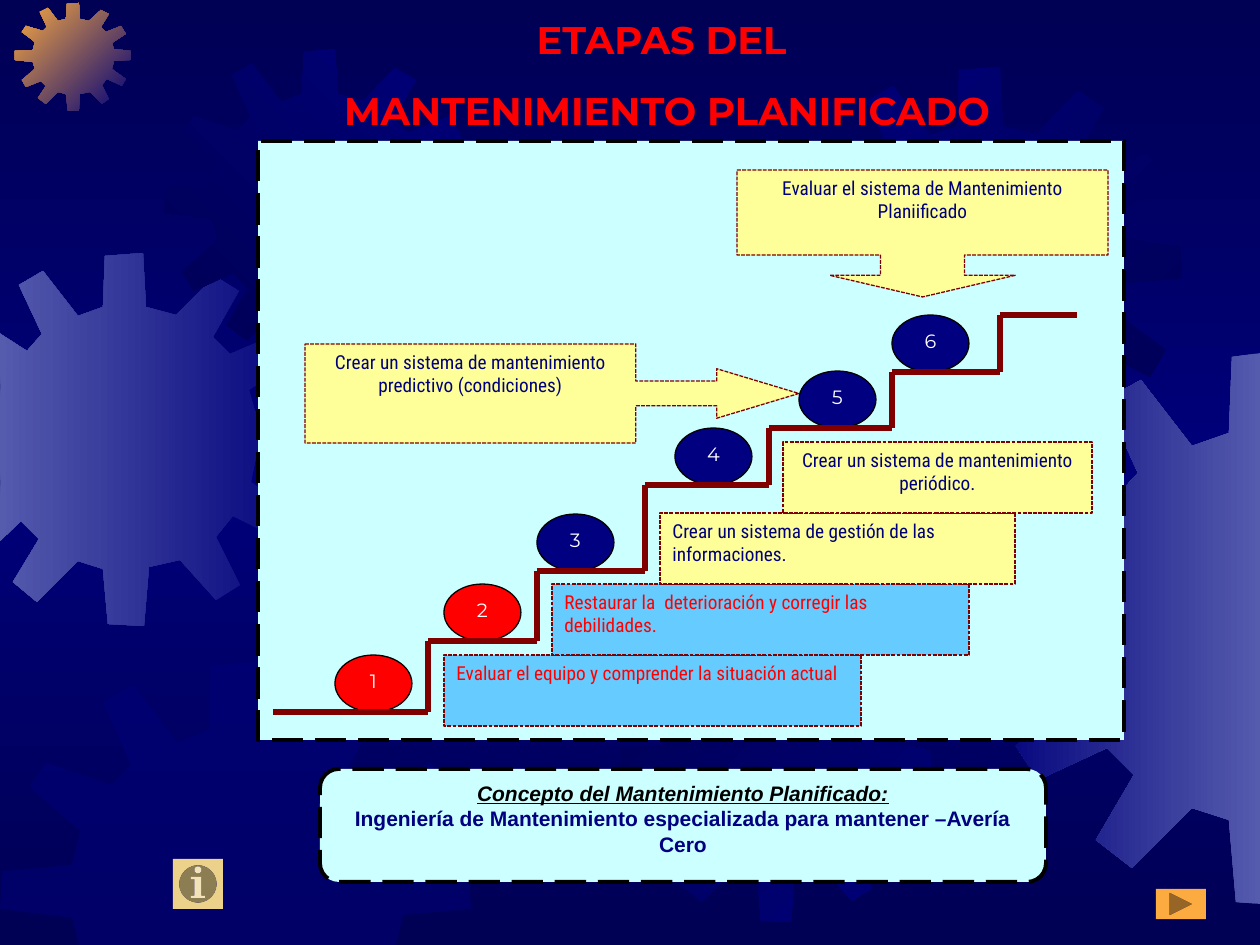
import copy
import pptx
import pptx.dml.color
import pptx.enum.dml
import pptx.enum.shapes
import pptx.enum.text
import pptx.oxml
import pptx.oxml.ns
import pptx.util

SCALE = 914400 / 126
KIND = pptx.enum.shapes.MSO_SHAPE
DASH = pptx.enum.dml.MSO_LINE
ALIGN = pptx.enum.text.PP_ALIGN
LEFT, MID = ALIGN.LEFT, ALIGN.CENTER
SANS, COND, ROUND = "Arial", "Roboto Condensed", "Montserrat"
HEX = {
    "night": "000054", "blue": "00007A", "haze": "555BAD", "gold": "FCAB40",
    "sand": "EBD189", "ice": "CCFFFF", "sky": "66CCFF", "cream": "FFFF99",
    "red": "FF0000", "wine": "800000", "navy": "000080",
    "black": "000000", "white": "FFFFFF",
}

WIDE, HIGH = 1260, 945
GEAR = [
    (158, 41), (138, 36), (136, 0), (111, 2), (110, 36), (93, 42),
    (70, 12), (54, 21), (69, 54), (59, 65), (24, 53), (16, 66),
    (42, 89), (38, 107), (1, 110), (0, 130), (38, 135), (42, 152),
    (14, 177), (24, 192), (55, 178), (67, 190), (50, 219), (66, 232),
    (93, 205), (110, 210), (113, 247), (137, 248), (140, 209), (161, 204),
    (185, 231), (201, 221), (185, 189), (196, 175), (228, 191), (238, 174),
    (208, 152), (212, 133), (248, 130), (247, 111), (211, 105), (207, 91),
    (237, 71), (227, 53), (194, 67), (183, 56), (200, 25), (184, 15),
]
SPAN = 248
GEARS = [
    (-62, 253, 373, 373, "blue", "haze", 180),
    (15, 3, 116, 108, "blue", "gold", 225),
    (164, 49, 312, 312, "blue", "night", 135),
    (0, 662, 471, 471, "blue", None, 0),
    (619, 610, 312, 312, "blue", "night", 225),
    (779, 67, 403, 403, "night", "blue", 225),
    (985, 353, 551, 551, "haze", "blue", 180),
]
STAIR_X = [273, 428, 537, 645, 769, 892, 1000, 1077]
STAIR_Y = [712, 641, 571, 485, 428, 372, 315]
BALLS = [(335, "red"), (444, "red"), (537, "navy"),
         (675, "navy"), (799, "navy"), (892, "navy")]
BALL_W, BALL_H = 77, 57
STAGES = [
    (KIND.RECTANGLE, (444, 655, 417, 71), [], "sky", "red", LEFT,
     "Evaluar el equipo y comprender la situación actual"),
    (KIND.RECTANGLE, (552, 584, 417, 71), [], "sky", "red", LEFT,
     "Restaurar la  deterioración y corregir las debilidades."),
    (KIND.RECTANGLE, (660, 513, 355, 71), [], "cream", "blue", LEFT,
     "Crear un sistema de gestión de las informaciones."),
    (KIND.RECTANGLE, (783, 442, 309, 71), [], "cream", "blue", MID,
     "Crear un sistema de mantenimiento periódico."),
    (KIND.RIGHT_ARROW_CALLOUT, (305, 344, 494, 99),
     [0.25, 0.25, 0.83, 0.67], "cream", "blue", MID,
     "Crear un sistema de mantenimiento predictivo (condiciones)"),
    (KIND.DOWN_ARROW_CALLOUT, (737, 170, 371, 127),
     [0.66, 0.73, 0.17, 0.67], "cream", "blue", MID,
     "Evaluar el sistema de Mantenimiento Planiificado"),
]
NOTE = ["Concepto del Mantenimiento Planificado:",
        "Ingeniería de Mantenimiento especializada para mantener –Avería Cero"]
TITLE = ["ETAPAS DEL ", "MANTENIMIENTO PLANIFICADO"]


def px(num):
    return pptx.util.Emu(round(num * SCALE))


def tint(name):
    return pptx.dml.color.RGBColor.from_string(HEX[name])


def solid(fill, name):
    fill.solid()
    fill.fore_color.rgb = tint(name)


def blend(fill, names, angle):
    fill.gradient()
    fill.gradient_angle = (360 - angle) % 360
    for stop, name in zip(fill.gradient_stops, names):
        stop.color.rgb = tint(name)


def write(shape, lines, size, face, color, align=MID, bold=False):
    frame = shape.text_frame
    frame.word_wrap = True
    frame.vertical_anchor = pptx.enum.text.MSO_ANCHOR.TOP
    frame.text = "\n".join(lines)
    for para in frame.paragraphs:
        para.alignment = align
        font = para.font
        font.size, font.name, font.bold = pptx.util.Pt(size), face, bold
        font.color.rgb = tint(color)
    return frame.paragraphs


def block(kind, box, fill, edge=None, width=0.75, dash=None, adjs=()):
    shape = slide.shapes.add_shape(kind, *map(px, box))
    shape.shadow.inherit = False
    solid(shape.fill, fill)
    if edge:
        solid(shape.line.fill, edge)
        shape.line.width = pptx.util.Pt(width)
        shape.line.dash_style = dash
    else:
        shape.line.fill.background()
    for spot, val in enumerate(adjs):
        shape.adjustments[spot] = val
    return shape


def gear(left, top, wide, high, first, last, angle):
    dots = [(min(max(left + x * wide / SPAN, -1), WIDE + 1),
             min(top + y * high / SPAN, HIGH + 5)) for x, y in GEAR]
    path = slide.shapes.build_freeform(*dots[0], scale=SCALE)
    path.add_line_segments(dots[1:], close=True)
    shape = path.convert_to_shape()
    shape.shadow.inherit = False
    shape.line.fill.background()
    if last:
        blend(shape.fill, (first, last), angle)
    else:
        solid(shape.fill, first)
        color = shape._element.spPr.find(".//" + pptx.oxml.ns.qn("a:srgbClr"))
        color.append(pptx.oxml.parse_xml(
            "<a:alpha %s val='50000'/>" % pptx.oxml.ns.nsdecls("a")))


def stair(start, end):
    line = slide.shapes.add_connector(
        pptx.enum.shapes.MSO_CONNECTOR.STRAIGHT, *map(px, start + end))
    line.line.color.rgb = tint("wine")
    line.line.width = pptx.util.Pt(3)
    line._element.spPr.append(pptx.oxml.parse_xml(
        "<a:effectLst %s/>" % pptx.oxml.ns.nsdecls("a")))


deck = pptx.Presentation()
deck.slide_width, deck.slide_height = px(WIDE), px(HIGH)
slide = deck.slides.add_slide(deck.slide_layouts[6])

back = slide.background.fill
blend(back, ("night", "night"), 90)
stops = slide._element.find(".//" + pptx.oxml.ns.qn("a:gsLst"))
stops.insert(1, copy.deepcopy(stops[0]))
for spot, name in enumerate(("night", "blue", "night")):
    back.gradient_stops[spot].color.rgb = tint(name)
    back.gradient_stops[spot].position = spot / 2

for item in GEARS:
    gear(*item)
block(KIND.ACTION_BUTTON_INFORMATION, (173, 859, 50, 50), "sand")
block(KIND.RECTANGLE, (258, 141, 866, 599), "ice", "black", 2.25, DASH.LONG_DASH)

for num, ((left, color), floor) in enumerate(zip(BALLS, STAIR_Y), 1):
    ball = block(KIND.OVAL, (left, floor - BALL_H, BALL_W, BALL_H), color, "black")
    write(ball, [str(num)], 11, ROUND, "white")

turns = []
for spot, y in enumerate(STAIR_Y):
    turns += [(STAIR_X[spot], y), (STAIR_X[spot + 1], y)]
for start, end in zip(turns, turns[1:]):
    stair(start, end)

for kind, box, adjs, fill, ink, align, words in STAGES:
    stage = block(kind, box, fill, "wine", 0.75, DASH.SQUARE_DOT, adjs)
    write(stage, [words], 11, COND, ink, align)

note = block(KIND.FLOWCHART_ALTERNATE_PROCESS, (320, 769, 726, 113),
             "ice", "black", 2.25, DASH.LONG_DASH)
head = write(note, NOTE, 12, SANS, "navy", bold=True)[0].font
head.italic = head.underline = True
head.color.rgb = tint("black")

title = slide.shapes.add_textbox(*map(px, (84, 10, 1166, 130)))
write(title, TITLE, 22, ROUND, "red", bold=True)[1].space_before = pptx.util.Pt(13.8)
block(KIND.ACTION_BUTTON_FORWARD_OR_NEXT, (1156, 889, 50, 30), "gold")

deck.save("out.pptx")
